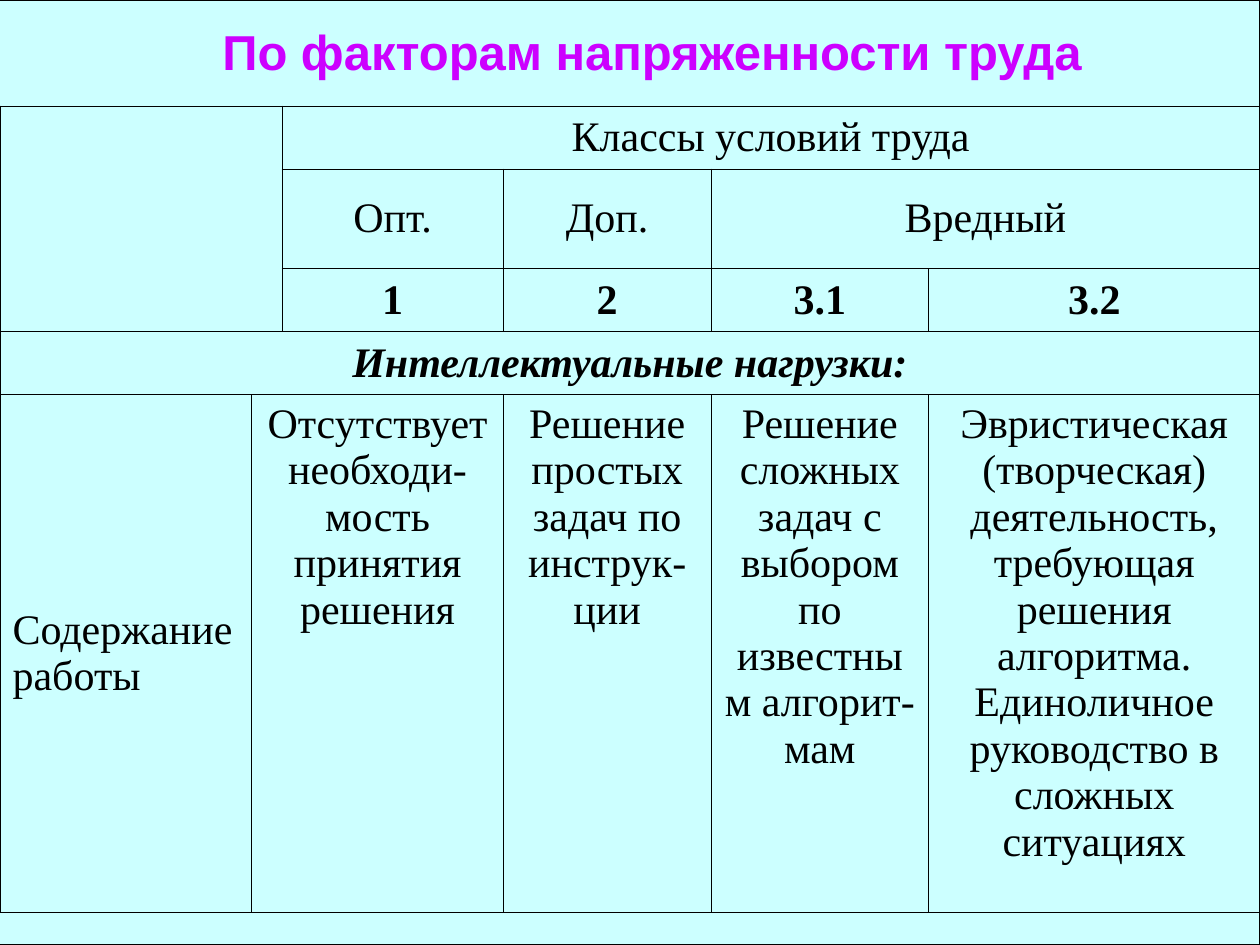
from lxml import etree
from pptx import Presentation
from pptx.dml.color import RGBColor
from pptx.enum.shapes import MSO_SHAPE
from pptx.enum.text import MSO_ANCHOR, MSO_AUTO_SIZE, PP_ALIGN
from pptx.oxml.ns import qn
from pptx.util import Inches, Pt

RECT = MSO_SHAPE.RECTANGLE
LEFT, CENTER = PP_ALIGN.LEFT, PP_ALIGN.CENTER
TOP, MIDDLE = MSO_ANCHOR.TOP, MSO_ANCHOR.MIDDLE
NO_FIT = MSO_AUTO_SIZE.NONE

BLACK = RGBColor(0x00, 0x00, 0x00)
AQUA = RGBColor(0xCC, 0xFF, 0xFF)
VIOLET = RGBColor(0xCC, 0x00, 0xFF)

WIDTH, HEIGHT = 10, 7.5
TITLE_BOX = (0.35, 0.12, 9.65, 1.04)
TABLE_BOX = (0, 0.84, WIDTH, 6.4)
COLUMNS = [2, 0.24, 1.76, 1.65, 1.73, 2.63]
ROWS = [0.5, 0.79, 0.5, 0.5, 4.1]
BORDER = 0.45

# Row, column, rows spanned, columns spanned
SPANS = [(0, 0, 3, 2), (0, 2, 1, 4), (1, 4, 1, 2), (3, 0, 1, 6), (4, 1, 1, 2)]

# Row, column, text, format
HEADINGS = [
    (0, 2, "Классы условий труда", {}),
    (1, 2, "Опт.", {}),
    (1, 3, "Доп.", {}),
    (1, 4, "Вредный", {}),
    (2, 2, "1", {"bold": True}),
    (2, 3, "2", {"bold": True}),
    (2, 4, "3.1", {"bold": True}),
    (2, 5, "3.2", {"bold": True}),
    (3, 0, "Интеллектуальные нагрузки:", {"bold": True, "italic": True}),
    (4, 0, "Содержание работы", {"align": LEFT}),
]
DESCRIPTIONS = [
    (4, 1, "Отсутствует необходи-мость принятия решения", {}),
    (4, 3, "Решение простых задач по инструк-\nции", {}),
    (4, 4, "Решение сложных задач с выбором по известным алгорит-мам", {}),
    (4, 5, "Эвристическая (творческая) деятельность, требующая решения "
           "алгоритма. Единоличное руководство в сложных ситуациях", {}),
]


def write(tf, text, size=24, font="Times New Roman", color=BLACK,
          bold=False, italic=False, align=CENTER):
    """Fill a text frame, one paragraph for each line of text."""
    tf.word_wrap = True
    for i, line in enumerate(text.split("\n")):
        p = tf.paragraphs[0] if i == 0 else tf.add_paragraph()
        p.alignment = align
        r = p.add_run()
        r.text = line
        r.font.size, r.font.name = Pt(size), font
        r.font.bold, r.font.italic = bold, italic
        r.font.color.rgb = color


def set_borders(cell):
    """Draw a thin black line on each side of a cell."""
    tc_pr = cell._tc.get_or_add_tcPr()
    for i, side in enumerate("LRTB"):
        ln = etree.Element(qn(f"a:ln{side}"), w=str(Pt(BORDER)))
        fill = etree.SubElement(ln, qn("a:solidFill"))
        etree.SubElement(fill, qn("a:srgbClr"), val=str(BLACK))
        tc_pr.insert(i, ln)


def add_backdrop(slide, box):
    sp = slide.shapes.add_shape(RECT, *map(Inches, box))
    sp.shadow.inherit = False
    sp.fill.solid()
    sp.fill.fore_color.rgb = AQUA
    sp.line.color.rgb = BLACK
    sp.line.width = Pt(0.75)


def add_class_table(slide, box):
    frame = slide.shapes.add_table(len(ROWS), len(COLUMNS), *map(Inches, box))
    table = frame.table
    table.first_row = table.horz_banding = False

    # Grid in shares of the box
    _, _, width, height = box
    for column, share in zip(table.columns, COLUMNS):
        column.width = Inches(width * share / sum(COLUMNS))
    for row, share in zip(table.rows, ROWS):
        row.height = Inches(height * share / sum(ROWS))

    for cell in table.iter_cells():
        cell.fill.background()
        set_borders(cell)
    for row, col, rows, cols in SPANS:
        end = table.cell(row + rows - 1, col + cols - 1)
        table.cell(row, col).merge(end)

    # Headings sit in the middle, descriptions at the top
    for anchor, entries in ((MIDDLE, HEADINGS), (TOP, DESCRIPTIONS)):
        for row, col, text, style in entries:
            cell = table.cell(row, col)
            cell.vertical_anchor = anchor
            write(cell.text_frame, text, **style)


def add_title(slide, box):
    sp = slide.shapes.title
    sp.left, sp.top, sp.width, sp.height = map(Inches, box)
    tf = sp.text_frame
    tf.vertical_anchor = TOP
    tf.auto_size = NO_FIT
    write(tf, "По факторам напряженности труда", size=28, font="Arial",
          color=VIOLET, bold=True)
    # Bring the title in front of the backdrop
    slide.shapes._spTree.append(sp._element)


def main():
    prs = Presentation()
    prs.slide_width, prs.slide_height = Inches(WIDTH), Inches(HEIGHT)
    slide = prs.slides.add_slide(prs.slide_layouts[5])
    add_backdrop(slide, (-0.2, 0, WIDTH + 0.2, HEIGHT))
    add_class_table(slide, TABLE_BOX)
    add_title(slide, TITLE_BOX)
    prs.save("out.pptx")


if __name__ == "__main__":
    main()
